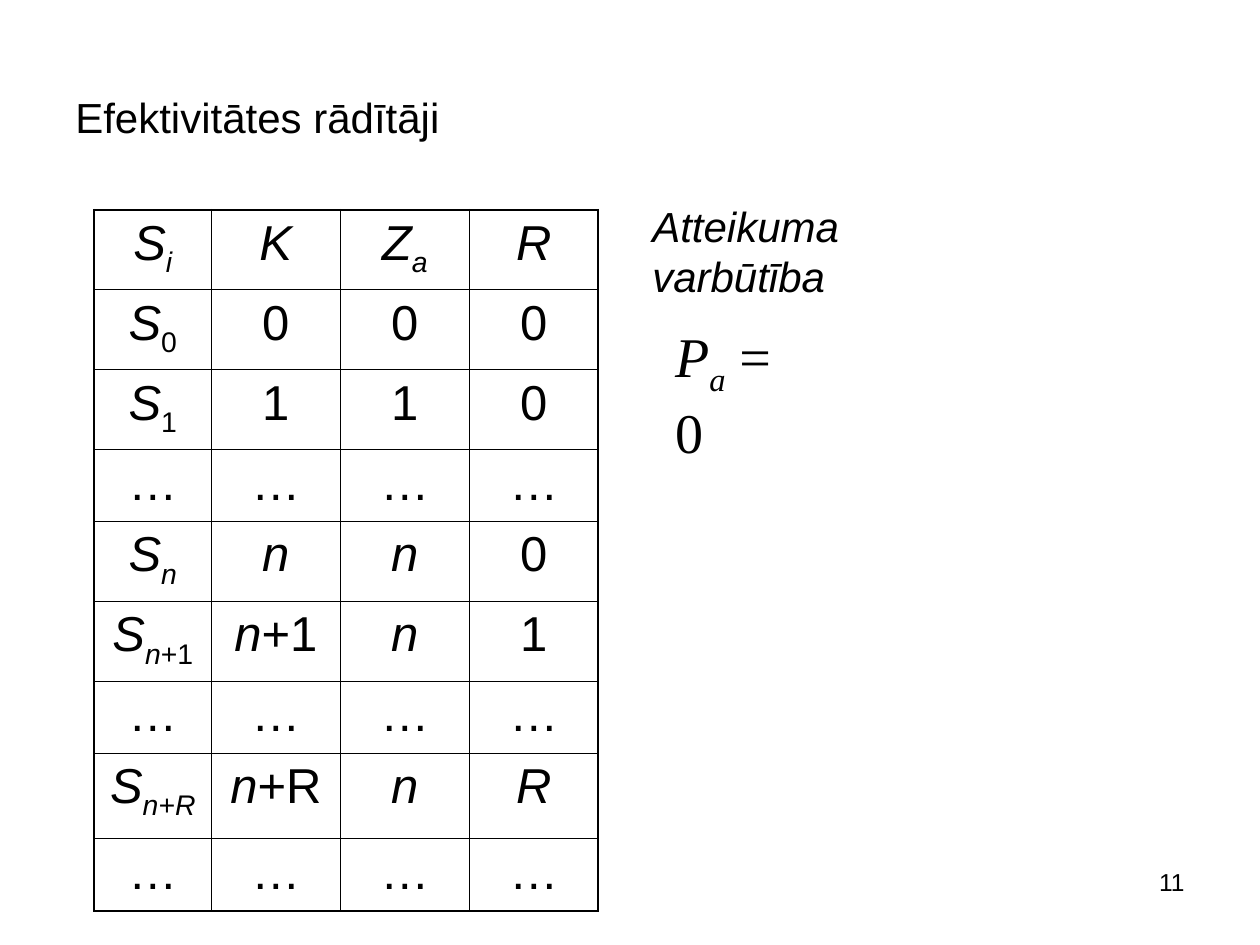
from lxml.etree import SubElement
from pptx import Presentation
from pptx.dml.color import RGBColor
from pptx.enum.text import MSO_ANCHOR as Anchor, PP_ALIGN as Align
from pptx.oxml.ns import qn
from pptx.util import Cm, Pt

BLACK = RGBColor(0, 0, 0)
THIN, THICK = Pt(0.45), Pt(1.08)

PLAIN, ITALIC, SUB, ITALIC_SUB = "", "i", "s", "is"
STATE = ("S", ITALIC)
N = [("n", ITALIC)]
ZERO = [("0", PLAIN)]
ONE = [("1", PLAIN)]
REJECTED = [("R", ITALIC)]
DOTS = [[("…", PLAIN)]] * 4

STATE_ROWS = [
    [[STATE, ("i", ITALIC_SUB)], [("K", ITALIC)], [("Z", ITALIC), ("a", ITALIC_SUB)], REJECTED],
    [[STATE, ("0", SUB)], ZERO, ZERO, ZERO],
    [[STATE, ("1", SUB)], ONE, ONE, ZERO],
    DOTS,
    [[STATE, ("n", ITALIC_SUB)], N, N, ZERO],
    [[STATE, ("n", ITALIC_SUB), ("+1", SUB)], [*N, ("+1", PLAIN)], N, ONE],
    DOTS,
    [[STATE, ("n+R", ITALIC_SUB)], [*N, ("+R", PLAIN)], N, REJECTED],
    DOTS,
]
COLUMN_WIDTHS = [2.36, 2.6, 2.6, 2.6]
ROW_HEIGHTS = [1.61, 1.61, 1.61, 1.45, 1.61, 1.61, 1.45, 1.73, 1.45]


def add_runs(paragraph, runs, size, font_name="Arial"):
    for text, style in runs:
        run = paragraph.add_run()
        run.text = text
        run.font.size = Pt(size)
        run.font.name = font_name
        run.font.italic = "i" in style
        run.font.color.rgb = BLACK
        if "s" in style:
            run.font._element.set("baseline", "-25000")


def add_text(slide, box, runs, size, font_name="Arial", align=Align.LEFT,
             anchor=Anchor.TOP, wrap=True):
    frame = slide.shapes.add_textbox(*map(Cm, box)).text_frame
    frame.word_wrap = wrap
    frame.vertical_anchor = anchor
    frame.paragraphs[0].alignment = align
    add_runs(frame.paragraphs[0], runs, size, font_name)


def set_borders(cell, widths):
    properties = cell._tc.get_or_add_tcPr()
    for side, width in widths.items():
        line = SubElement(properties, qn(f"a:ln{side}"), w=str(width))
        fill = SubElement(line, qn("a:solidFill"))
        SubElement(fill, qn("a:srgbClr"), val=str(BLACK))


def add_state_table(slide, left, top):
    last_row, last_column = len(ROW_HEIGHTS) - 1, len(COLUMN_WIDTHS) - 1
    table = slide.shapes.add_table(
        len(ROW_HEIGHTS), len(COLUMN_WIDTHS), Cm(left), Cm(top),
        Cm(sum(COLUMN_WIDTHS)), Cm(sum(ROW_HEIGHTS))).table
    table.first_row = table.horz_banding = False
    for column, width in zip(table.columns, COLUMN_WIDTHS):
        column.width = Cm(width)
    for row, height in zip(table.rows, ROW_HEIGHTS):
        row.height = Cm(height)
    for i, row_runs in enumerate(STATE_ROWS):
        for j, runs in enumerate(row_runs):
            cell = table.cell(i, j)
            set_borders(cell, {
                "L": THICK if j == 0 else THIN,
                "R": THICK if j == last_column else THIN,
                "T": THICK if i == 0 else THIN,
                "B": THICK if i == last_row else THIN,
            })
            cell.fill.background()
            paragraph = cell.text_frame.paragraphs[0]
            paragraph.alignment = Align.CENTER
            add_runs(paragraph, runs, 28)


def add_refusal_probability(slide, left, top):
    add_text(slide, (left, top, 7.98, 1.27), [("Atteikuma varbūtība", ITALIC)], 24, wrap=False)
    formula = [("P", ITALIC), ("a", ITALIC_SUB), (" = 0", PLAIN)]
    add_text(slide, (left + 0.46, top + 2.44, 3.28, 1.8), formula, 32, "Times New Roman", wrap=False)


def main():
    presentation = Presentation()
    presentation.slide_width, presentation.slide_height = Cm(25.4), Cm(19.05)
    slide = presentation.slides.add_slide(presentation.slide_layouts[6])
    add_text(slide, (1.27, 0.76, 22.86, 3.18), [("Efektivitātes rādītāji", PLAIN)], 24,
             anchor=Anchor.MIDDLE)
    add_state_table(slide, 1.9, 4.23)
    add_refusal_probability(slide, 12.9, 3.91)
    add_text(slide, (18.2, 17.35, 5.93, 1.32), [("11", PLAIN)], 14, align=Align.RIGHT)
    presentation.save("out.pptx")


if __name__ == "__main__":
    main()
